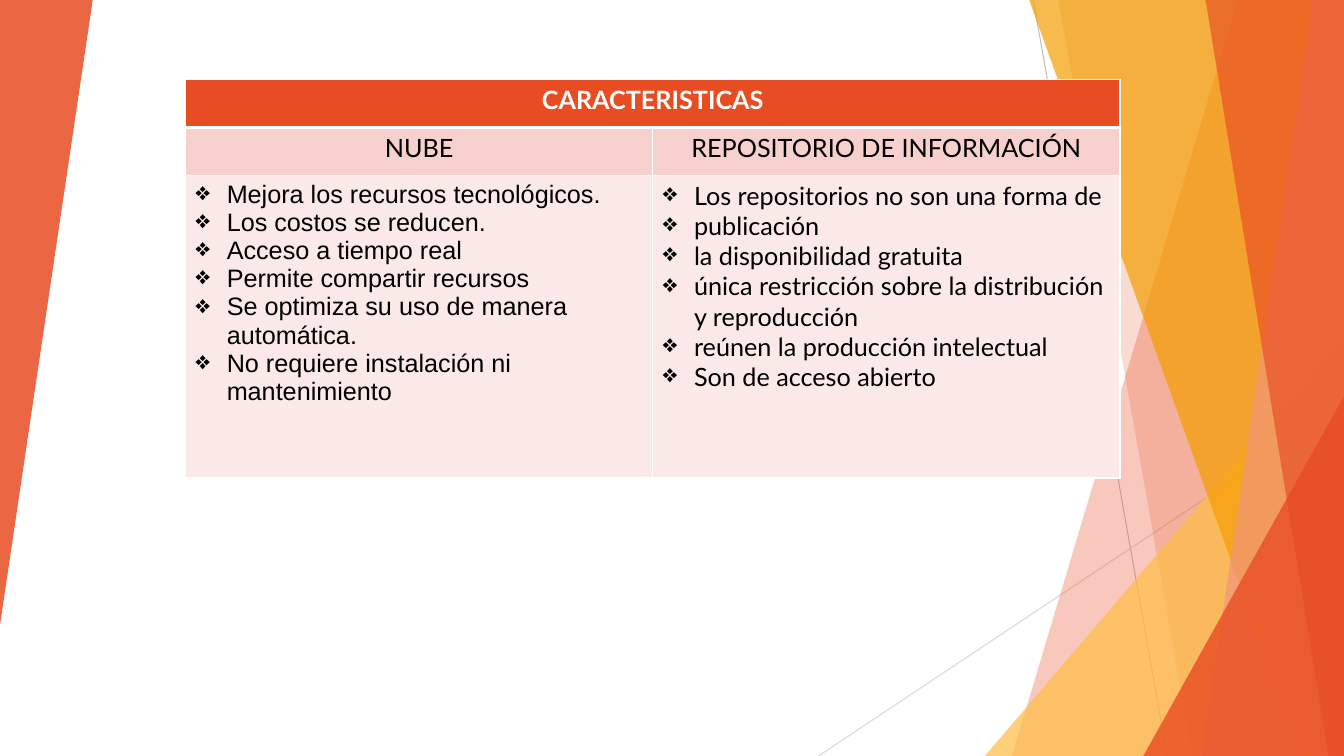
from lxml import etree
from pptx import Presentation
from pptx.dml.color import RGBColor
from pptx.enum.shapes import MSO_CONNECTOR as Conn, MSO_SHAPE as Shape
from pptx.enum.text import PP_ALIGN as Align
from pptx.oxml.ns import qn
from pptx.util import Inches, Pt

WIDE, HIGH = Inches(13.33), Inches(7.5)
RED, GOLD, AMBER, ROSE = "E84C22", "FFBD47", "F49D00", "F1947A"
WHITE, BLACK, PINK, PALE = "FFFFFF", "000000", "F6D0CD", "FBE9E8"
FULL = (0, 0, 100, 100)

CLOUD = [
    "Mejora los recursos tecnológicos.",
    "Los costos se reducen.",
    "Acceso a tiempo real",
    "Permite compartir recursos",
    "Se optimiza su uso de manera automática.",
    "No requiere instalación ni mantenimiento",
]
STORE = [
    "Los repositorios no son una forma de",
    "publicación",
    "la disponibilidad gratuita",
    "única restricción sobre la distribución y reproducción",
    "reúnen la producción intelectual",
    "Son de acceso abierto",
]


def across(pct):
    return round(WIDE * pct / 100)


def down(pct):
    return round(HIGH * pct / 100)


def color(code):
    return RGBColor.from_string(code)


def paint(shape, code, alpha):
    """Fill without outline or shadow; alpha is the opacity in percent."""
    shape.shadow.inherit = False
    shape.line.fill.background()
    shape.fill.solid()
    shape.fill.fore_color.rgb = color(code)
    tint = shape.fill._xPr.find(".//" + qn("a:srgbClr"))
    etree.SubElement(tint, qn("a:alpha"), val=str(alpha * 1000))


def add_line(slide, start, end, code):
    line = slide.shapes.add_connector(
        Conn.STRAIGHT, across(start[0]), down(start[1]), across(end[0]), down(end[1]))
    line.line.color.rgb = color(code)
    line.line.width = Pt(0.75)
    etree.SubElement(line._element.spPr, qn("a:effectLst"))


def add_band(slide, box, top, foot, code, alpha):
    """Area between a slanted edge (x at top, x at foot) and the box's right side."""
    left, head, width, height = box
    right, base = across(left + width), down(head + height)
    pen = slide.shapes.build_freeform(across(left + top), down(head), scale=1.0)
    pen.add_line_segments(
        [(right, down(head)), (right, base), (across(left + foot), base)], close=True)
    paint(pen.convert_to_shape(), code, alpha)


def add_wedge(slide, box, code, alpha, turn=0):
    """Right triangle with its apex over the right corner."""
    left, top, width, height = box
    wedge = slide.shapes.add_shape(
        Shape.ISOSCELES_TRIANGLE, across(left), down(top), across(width), down(height))
    wedge.adjustments[0] = 1
    wedge.rotation = turn
    paint(wedge, code, alpha)


def add_decor(slide, box):
    add_line(slide, (76.88, 0), (86.85, 100), "BFBFBF")
    add_line(slide, (100, 53.73), (60.9, 100), "D9D9D9")
    add_band(slide, box, 92.1, 75.3, RED, 30)
    add_band(slide, box, 78.75, 88.73, RED, 20)
    add_wedge(slide, (73.28, 44.4, 26.72, 55.6), GOLD, 72)
    for top, foot, code, alpha in [
        (76.58, 96.83, AMBER, 70),
        (97.73, 89.4, ROSE, 70),
        (89.7, 98.85, RED, 65),
    ]:
        add_band(slide, box, top, foot, code, alpha)
    add_wedge(slide, (85.07, 52.4, 14.93, 47.6), RED, 80)
    add_wedge(slide, (0, 0, 6.9, 82.67), RED, 85, turn=180)


def write(frame, lines, font="Lato", code=BLACK, bold=False, align=Align.LEFT, mark=None):
    for num, text in enumerate(lines):
        para = frame.add_paragraph() if num else frame.paragraphs[0]
        para.alignment = align
        run = para.add_run()
        run.text = text
        run.font.name, run.font.size, run.font.bold = font, Pt(18), bold
        run.font.color.rgb = color(code)
        if mark:
            props = para._p.get_or_add_pPr()
            dent = Inches(0.31)
            props.set("marL", str(dent))
            props.set("indent", str(-dent))
            etree.SubElement(props, qn("a:buChar"), char=mark)


def dress(cell, code, top=1, foot=1):
    """White borders and a solid fill; top and foot are border widths."""
    props = cell._tc.get_or_add_tcPr()
    for side, width in [("L", 1), ("R", 1), ("T", top), ("B", foot)]:
        edge = etree.SubElement(props, qn("a:ln" + side), w=str(Pt(width)))
        fill = etree.SubElement(edge, qn("a:solidFill"))
        etree.SubElement(fill, qn("a:srgbClr"), val=WHITE)
    cell.fill.solid()
    cell.fill.fore_color.rgb = color(code)


def add_grid(slide, box):
    left, top, width, height = box
    table = slide.shapes.add_table(
        3, 2, across(left), down(top), across(width), down(height)).table
    for col in table.columns:
        col.width = across(width / 2)
    for row, share in zip(table.rows, (0.12, 0.12, 0.76)):
        row.height = down(height * share)
    table.cell(0, 0).merge(table.cell(0, 1))
    write(table.cell(0, 0).text_frame, ["CARACTERISTICAS"],
          code=WHITE, bold=True, align=Align.CENTER)
    topics = [("NUBE", CLOUD, "Arial"), ("REPOSITORIO DE INFORMACIÓN", STORE, "Lato")]
    for col, (head, items, font) in enumerate(topics):
        dress(table.cell(0, col), RED, foot=3)
        dress(table.cell(1, col), PINK, top=3)
        dress(table.cell(2, col), PALE)
        write(table.cell(1, col).text_frame, [head], align=Align.CENTER)
        write(table.cell(2, col).text_frame, items, font=font, mark="❖")


def main():
    deck = Presentation()
    deck.slide_width, deck.slide_height = WIDE, HIGH
    slide = deck.slides.add_slide(deck.slide_layouts[6])
    add_decor(slide, FULL)
    add_grid(slide, (13.8, 10.53, 69.54, 52.7))
    deck.save("out.pptx")


if __name__ == "__main__":
    main()
